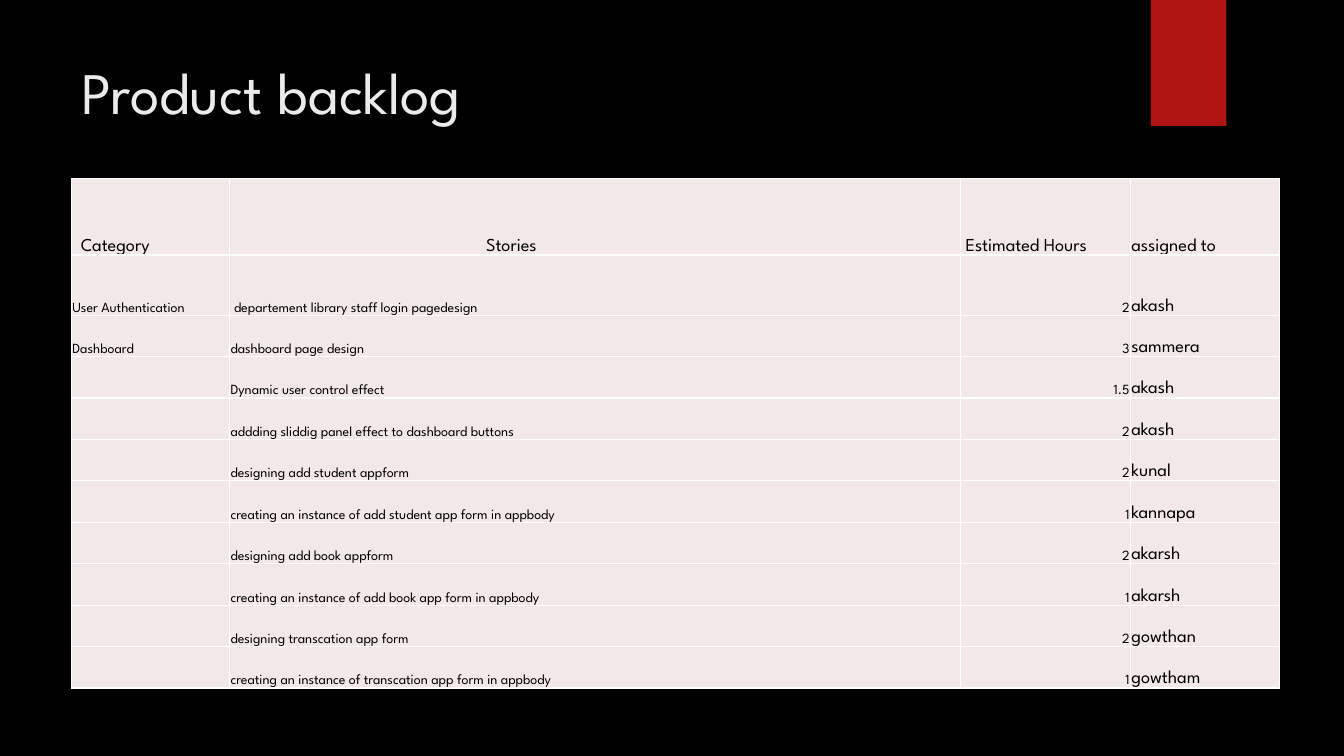
import pptx
import pptx.dml.color
import pptx.enum.shapes
import pptx.enum.text
import pptx.oxml
import pptx.oxml.ns
import pptx.util

Pt = pptx.util.Pt
RGBColor = pptx.dml.color.RGBColor
ANCHOR = pptx.enum.text.MSO_ANCHOR
ALIGN = pptx.enum.text.PP_ALIGN

BLACK = RGBColor(0x00, 0x00, 0x00)
RED = RGBColor(0xB0, 0x15, 0x13)
OFF_WHITE = RGBColor(0xEB, 0xEB, 0xEB)
ROSE = RGBColor(0xF2, 0xE8, 0xE7)
FONT = "League Spartan"

HEADINGS = ("Category", "Stories", "Estimated Hours", "assigned to")
STORIES = [
    ("User Authentication", "departement library staff login pagedesign", "2", "akash"),
    ("Dashboard", "dashboard page design", "3", "sammera"),
    ("", "Dynamic user control effect", "1.5", "akash"),
    ("", "addding sliddig panel effect to dashboard buttons", "2", "akash"),
    ("", "designing add student appform", "2", "kunal"),
    ("", "creating an instance of add student app form in appbody", "1", "kannapa"),
    ("", "designing add book appform", "2", "akarsh"),
    ("", "creating an instance of add book app form in appbody", "1", "akarsh"),
    ("", "designing transcation app form", "2", "gowthan"),
    ("", "creating an instance of transcation app form in appbody", "1", "gowtham"),
]
COLUMN_WIDTHS = (113, 522, 121.5, 106.5)
ROW_HEIGHTS = [54.7, 42.9] + [29.6] * 9
INSET = 0.7
# Extra left inset in points, by (row, column)
INDENTS = {(0, 0): 6, (0, 1): 182.5, (0, 2): 3, (1, 1): 2.5}
HOURS, ASSIGNEE = 2, 3


def write(paragraph, text, size, color):
    """Add one run of text in the slide's font."""
    run = paragraph.add_run()
    run.text = text
    run.font.color.rgb = color
    run_format = {"name": FONT, "size": Pt(size), "bold": False}
    for key, value in run_format.items():
        setattr(run.font, key, value)


def add_borders(cell):
    """Draw thin white lines on all four sides of a cell."""
    properties = cell._tc.get_or_add_tcPr()
    for position, side in enumerate(("lnL", "lnR", "lnT", "lnB")):
        line = pptx.oxml.parse_xml(
            f'<a:{side} {pptx.oxml.ns.nsdecls("a")} w="{Pt(1)}">'
            '<a:solidFill><a:srgbClr val="FFFFFF"/></a:solidFill>'
            f'</a:{side}>')
        properties.insert(position, line)


deck = pptx.Presentation()
deck.slide_width, deck.slide_height = Pt(960), Pt(540)
slide = deck.slides.add_slide(deck.slide_layouts[6])
slide.background.fill.solid()
slide.background.fill.fore_color.rgb = BLACK

ribbon = slide.shapes.add_shape(
    pptx.enum.shapes.MSO_SHAPE.RECTANGLE, Pt(822), Pt(0), Pt(54), Pt(90))
ribbon.shadow.inherit = False
ribbon.fill.solid()
ribbon.fill.fore_color.rgb = RED
ribbon.line.fill.background()

title = slide.shapes.add_textbox(Pt(51), Pt(36), Pt(741), Pt(110)).text_frame
title.word_wrap = True
title.vertical_anchor = ANCHOR.TOP
write(title.paragraphs[0], "Product backlog", 42, OFF_WHITE)

rows = [HEADINGS] + STORIES
backlog = slide.shapes.add_table(
    len(rows), len(HEADINGS), Pt(51), Pt(127.5),
    Pt(sum(COLUMN_WIDTHS)), Pt(sum(ROW_HEIGHTS))).table
backlog.first_row = backlog.horz_banding = False
for column, width in zip(backlog.columns, COLUMN_WIDTHS):
    column.width = Pt(width)
for row, height in zip(backlog.rows, ROW_HEIGHTS):
    row.height = Pt(height)

for r, entries in enumerate(rows):
    for c, entry in enumerate(entries):
        cell = backlog.cell(r, c)
        cell_format = {
            "vertical_anchor": ANCHOR.BOTTOM,
            "margin_left": Pt(INSET + INDENTS.get((r, c), 0)),
            "margin_right": Pt(INSET),
            "margin_top": Pt(INSET),
            "margin_bottom": Pt(0),
        }
        for key, value in cell_format.items():
            setattr(cell, key, value)
        cell.fill.solid()
        cell.fill.fore_color.rgb = ROSE
        add_borders(cell)
        if entry:
            paragraph = cell.text_frame.paragraphs[0]
            if r > 0 and c == HOURS:
                paragraph.alignment = ALIGN.RIGHT
            write(paragraph, entry, 13 if r == 0 or c == ASSIGNEE else 10, BLACK)

deck.save("out.pptx")
